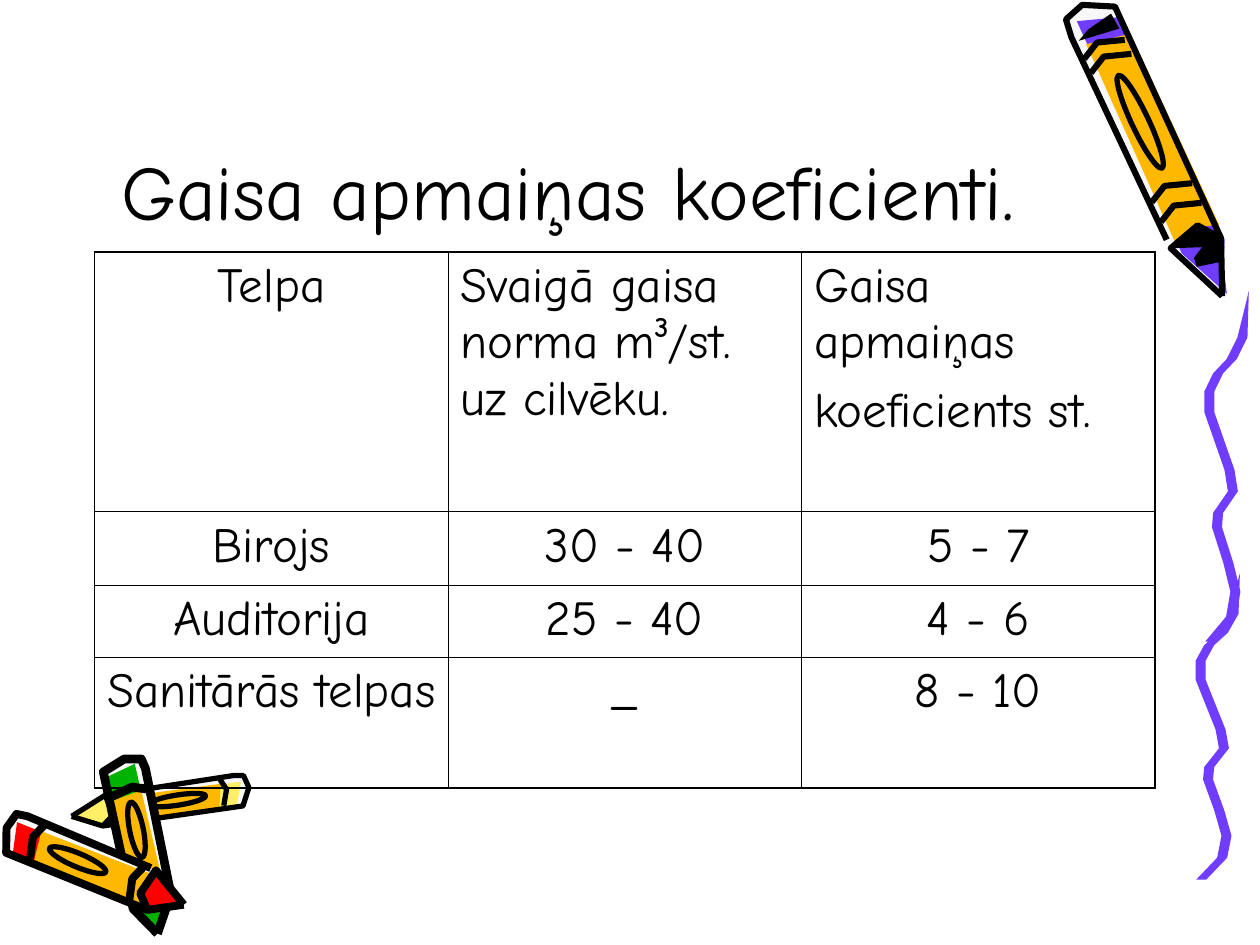
import math

from lxml import etree
from pptx import Presentation
from pptx import util as u
from pptx.dml.color import RGBColor
from pptx.enum import shapes, text
from pptx.oxml.ns import qn

FONT = "Comic Neue"
BLACK, PALE, PURPLE, ORANGE = "000000", "F8F8F8", "703DFF", "FFB800"
RED, GREEN, YELLOW = "FF0000", "00B200", "FFEF66"


def colour(value):
    return RGBColor.from_string(value)


def draw(axis, points, fill=None, pen=0):
    """Draw a filled outline, or an open black stroke if there is no fill.

    An axis is (base, tip, half width). Each point is (along, across): along runs
    from 0 at the base to 1 at the tip, across from -1 to 1 over the width.
    A negative half width mirrors the drawing.
    """
    (x, y), (tip_x, tip_y), half = axis
    dx, dy = tip_x - x, tip_y - y
    side = half / math.hypot(dx, dy)
    corners = [(100 * (x + along * dx + across * side * dy),
                100 * (y + along * dy - across * side * dx)) for along, across in points]
    builder = page.shapes.build_freeform(*corners[0], scale=u.Pt(0.01))
    builder.add_line_segments(corners[1:], close=fill is not None)
    shape = builder.convert_to_shape()
    shape.shadow.inherit = False
    if fill:
        shape.fill.solid()
        shape.fill.fore_color.rgb = colour(fill)
    else:
        shape.fill.background()
    if pen:
        shape.line.color.rgb = colour(BLACK)
        shape.line.width = u.Pt(pen)
    else:
        shape.line.fill.background()


deck = Presentation()
deck.slide_width, deck.slide_height = u.Pt(720), u.Pt(540)
page = deck.slides.add_slide(deck.slide_layouts[5])

# Parts that all crayons share, as (along, across)
barrel = [(0.76, -1), (0.04, -1), (-0.02, -0.9), (-0.04, -0.1), (0.01, 1), (0.83, 0.9), (1, 0)]
wax = [(0, -0.55), (0.05, 1.1), (0.84, 1), (0.91, 0.55), (1, 0.2), (0.82, -0.7)]
nib_edge = [(1, 0), (0.79, -1), (0.76, 0.3), (0.83, 0.9)]
# Black scribbles on the cap and the nib of the big crayon
cap_shade = [(0.025, 0.75), (0.04, -0.3), (0.06, -0.8), (0.08, 0.8)]
nib_shade = [(0.79, -1), (0.77, 0.45), (0.83, 0.85), (0.9, 0.6), (0.88, -0.4), (0.85, -0.35),
             (0.83, 0.1)]

# Each crayon: axis, wax colour, start of the paper wrapper, bands along it, pen, shades
crayons = [
    (((622.8, 8.6), (698.4, 169.2), 15), PURPLE, 0.08, [0.12, 0.17, 0.63, 0.7], 3.5,
     [cap_shade, nib_shade]),
    (((138.5, 451.5), (41, 466.5), 9), YELLOW, 0.12, [0.12], 3, []),
    (((70.6, 437.8), (90, 533.5), -12), GREEN, 0.16, [0.16], 5, []),
    (((7.2, 475.9), (105, 517), -12), RED, 0.14, [0.14, 0.72], 4.5, []),
]
for axis, wax_colour, wrapper, bands, pen, shades in crayons:
    draw(axis, barrel, PALE)
    draw(axis, wax, wax_colour)
    draw(axis, [(wrapper, -0.6), (wrapper + 0.03, 1.1), (0.79, 1.05), (0.76, 0.2), (0.78, -0.75)],
         ORANGE)
    for shade in shades:
        draw(axis, shade, BLACK)
    for stroke in [barrel, nib_edge]:
        draw(axis, stroke, pen=pen)
    for band in bands:
        draw(axis, [(band, -0.9), (band - 0.03, -0.2), (band, 0.8)], pen=pen)

    (x, y), (tip_x, tip_y), half = axis
    dx, dy = tip_x - x, tip_y - y
    width, height = 0.33 * math.hypot(dx, dy), 0.65 * abs(half)
    label = page.shapes.add_shape(
        shapes.MSO_SHAPE.OVAL, u.Pt(x + 0.38 * dx - width / 2), u.Pt(y + 0.38 * dy - height / 2),
        u.Pt(width), u.Pt(height))
    label.rotation = math.degrees(math.atan2(dy, dx))
    label.shadow.inherit = False
    label.fill.background()
    label.line.color.rgb = colour(BLACK)
    label.line.width = u.Pt(3)

# One wavy ribbon, placed twice down the right edge
spine = [(0.13, 0.67), (0.19, 0.2), (0.23, -0.4), (0.28, -0.78), (0.34, -0.78), (0.5, 0.1),
         (0.56, 0.25), (0.62, -0.4), (0.66, -0.45), (0.76, 0.05), (0.84, 0.36), (0.91, 0.17),
         (0.98, -0.75)]
left_edge = [(along, across - 0.22) for along, across in spine]
right_edge = [(along, across + 0.22) for along, across in spine]
ribbon = [(0, 0.95)] + left_edge + right_edge[::-1]
for x, top, bottom in [(696.2, 327.6, 506.2), (701.3, 166.3, 370.8)]:
    draw(((x, top), (x, bottom), 13), ribbon, PURPLE)

title = page.shapes.title
title.left, title.top, title.width, title.height = u.Pt(54), u.Pt(12.2), u.Pt(540.7), u.Pt(126)
title.text_frame.text = "Gaisa apmaiņas koeficienti."
title.text_frame.word_wrap = True
title.text_frame.auto_size = text.MSO_AUTO_SIZE.NONE
title.text_frame.vertical_anchor = text.MSO_ANCHOR.BOTTOM
styled = [(title.text_frame.paragraphs[0], 44, text.PP_ALIGN.CENTER)]

# The table lies in front of the title and the crayons
rows = [
    ["Telpa", "Svaigā gaisa norma m³/st. uz cilvēku.", "Gaisa apmaiņas\nkoeficients st."],
    ["Birojs", "30 - 40", "5 - 7"],
    ["Auditorija", "25 - 40", "4 - 6"],
    ["Sanitārās telpas", "_", "8 - 10"],
]
row_heights = [148.4, 42.2, 41.2, 74.6]
last_row, last_col = len(rows) - 1, len(rows[0]) - 1
table = page.shapes.add_table(len(rows), len(rows[0]), u.Pt(54), u.Pt(144),
                              u.Pt(606), u.Pt(sum(row_heights))).table
table.first_row = table.horz_banding = False
for column in table.columns:
    column.width = u.Pt(202)
for r, (row, height) in enumerate(zip(rows, row_heights)):
    table.rows[r].height = u.Pt(height)
    for c, words in enumerate(row):
        cell = table.cell(r, c)
        cell.text_frame.text = words
        align = text.PP_ALIGN.LEFT if r == 0 and c > 0 else text.PP_ALIGN.CENTER
        for i, para in enumerate(cell.text_frame.paragraphs):
            styled.append((para, 28, align))
            if i:
                para.space_before = u.Pt(7)
        # Thick lines around the table, thin lines inside; borders go before the fill
        outer_sides = {"lnL": c == 0, "lnR": c == last_col, "lnT": r == 0, "lnB": r == last_row}
        properties = cell._tc.get_or_add_tcPr()
        for side, outer in outer_sides.items():
            border = etree.SubElement(properties, qn(f"a:{side}"),
                                      w=str(u.Pt(1.08 if outer else 0.45)))
            ink = etree.SubElement(border, qn("a:solidFill"))
            etree.SubElement(ink, qn("a:srgbClr"), val=BLACK)
        cell.fill.background()

for para, size, align in styled:
    para.alignment = align
    for span in para.runs:
        span.font.name = FONT
        span.font.size = u.Pt(size)
        span.font.color.rgb = colour(BLACK)

deck.save("out.pptx")
